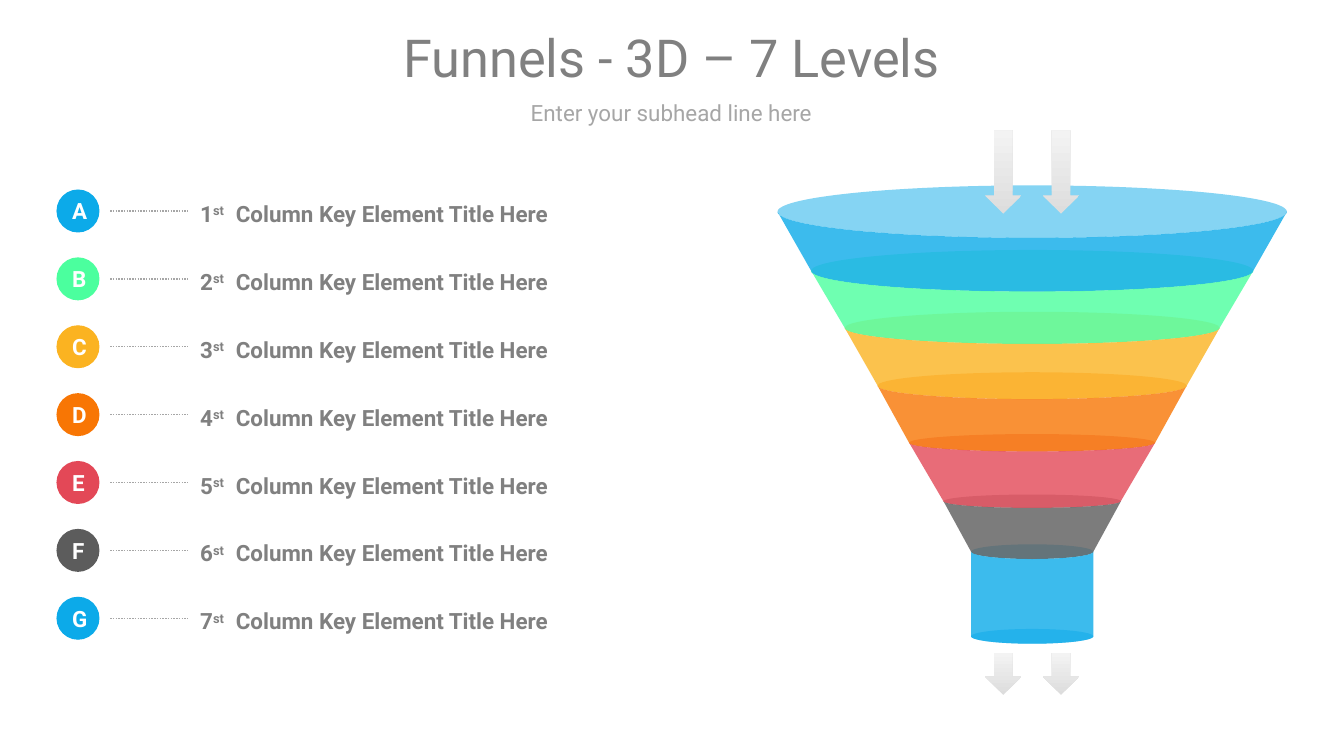
from dataclasses import dataclass
from math import cos, pi, sin

from lxml.etree import SubElement
from pptx import Presentation
from pptx.dml.color import RGBColor
from pptx.enum.dml import MSO_LINE
from pptx.enum.shapes import MSO_CONNECTOR, MSO_SHAPE as SHAPE
from pptx.enum.text import MSO_ANCHOR as ANCHOR, MSO_AUTO_SIZE as AUTO_SIZE, PP_ALIGN as ALIGN
from pptx.oxml.ns import qn
from pptx.util import Pt

PX = 4572


@dataclass(frozen=True)
class Theme:
    font: str = "Roboto"
    text: str = "808080"
    muted: str = "A6A6A6"
    white: str = "FFFFFF"
    arrow_dark: str = "DDDDDD"
    arrow_light: str = "F3F3F3"
    blue: str = "0CAAE9"
    green: str = "4BFF9E"
    yellow: str = "FBB321"
    orange: str = "F87604"
    red: str = "E34857"
    gray: str = "5C5C5C"
    title_size: int = 28
    body_size: int = 12
    ring_alpha: int = 50
    band_alpha: int = 80


THEME = Theme()
SLIDE = (2000, 1125)
TITLE = "Funnels - 3D – 7 Levels"
SUBHEAD = "Enter your subhead line here"
ELEMENT = "Column Key Element Title Here"
LEVELS = [
    ("A", "1", THEME.blue),
    ("B", "2", THEME.green),
    ("C", "3", THEME.yellow),
    ("D", "4", THEME.orange),
    ("E", "5", THEME.red),
    ("F", "6", THEME.gray),
    ("G", "7", THEME.blue),
]
RINGS = [
    (315, 379, 39),
    (403, 329, 31),
    (488, 279, 24),
    (574, 230, 20),
    (659, 183, 13),
    (746, 132, 10),
    (821, 91, 11),
    (947, 91, 11),
]
FUNNEL_X = 1536
ARROW_XS = (1466, 1552)
ARROW_ROWS = [(972, 62), (194, 124)]
FIRST_ROW, ROW_STEP = 314, 101
BADGE_X, BADGE = 84, 64
LEADER = (164, 280)
LABEL_X, LABEL_W, LABEL_H, LABEL_TAB = 298, 714, 48, 53
ARC_STEPS = 48


def emu(*lengths):
    return [round(length * PX) for length in lengths]


def rgb(value):
    return RGBColor.from_string(value)


def style(para, size, color, bold=False, align=ALIGN.LEFT):
    para.alignment = align
    para.font.name = THEME.font
    para.font.size = Pt(size)
    para.font.bold = bold
    para.font.color.rgb = rgb(color)


def set_frame(frame, inset_x=0, inset_y=0, wrap=True):
    frame.word_wrap = wrap
    frame.vertical_anchor = ANCHOR.MIDDLE
    frame.margin_left = frame.margin_right = inset_x * PX
    frame.margin_top = frame.margin_bottom = inset_y * PX


def paint(shape, color, alpha=100):
    shape.shadow.inherit = False
    shape.line.fill.background()
    shape.fill.solid()
    shape.fill.fore_color.rgb = rgb(color)
    if alpha < 100:
        tint = shape._element.spPr.find(qn("a:solidFill")).find(qn("a:srgbClr"))
        SubElement(tint, qn("a:alpha"), val=str(alpha * 1000))


def add_heading(page, text, top, height, size, color, wrap=True):
    box = page.shapes.add_textbox(*emu(84, top, 1830, height))
    set_frame(box.text_frame, wrap=wrap)
    para = box.text_frame.paragraphs[0]
    para.text = text
    style(para, size, color, align=ALIGN.CENTER)


def add_badge(page, letter, color, middle):
    badge = page.shapes.add_shape(SHAPE.OVAL, *emu(BADGE_X, middle - BADGE / 2, BADGE, BADGE))
    paint(badge, color)
    set_frame(badge.text_frame, 14, 8)
    para = badge.text_frame.paragraphs[0]
    para.text = letter
    style(para, THEME.body_size, THEME.white, True, ALIGN.CENTER)


def add_leader(page, middle):
    start, end = LEADER
    leader = page.shapes.add_connector(MSO_CONNECTOR.STRAIGHT, *emu(start, middle, end, middle))
    leader.line.color.rgb = rgb(THEME.muted)
    leader.line.width = Pt(0.75)
    leader.line.dash_style = MSO_LINE.ROUND_DOT
    SubElement(leader._element.spPr, qn("a:effectLst"))


def add_label(page, number, middle):
    box = page.shapes.add_textbox(*emu(LABEL_X, middle - LABEL_H / 2, LABEL_W, LABEL_H))
    set_frame(box.text_frame)
    box.text_frame.auto_size = AUTO_SIZE.SHAPE_TO_FIT_TEXT
    para = box.text_frame.paragraphs[0]
    tabs = SubElement(para._p.get_or_add_pPr(), qn("a:tabLst"))
    SubElement(tabs, qn("a:tab"), pos=str(LABEL_TAB * PX), algn="l")
    para.line_spacing = 1.2
    style(para, THEME.body_size, THEME.text, True)
    for text, baseline in ((number, 0), ("st", 30), (f"\t{ELEMENT}", 0)):
        span = para.add_run()
        span.text = text
        if baseline:
            span._r.get_or_add_rPr().set("baseline", str(baseline * 1000))


def add_ring(page, ring, color):
    middle, half_w, half_h = ring
    oval = page.shapes.add_shape(
        SHAPE.OVAL, *emu(FUNNEL_X - half_w, middle - half_h, 2 * half_w, 2 * half_h)
    )
    paint(oval, color, THEME.ring_alpha)


def front_arc(ring):
    middle, half_w, half_h = ring
    angles = [pi * step / ARC_STEPS for step in range(ARC_STEPS + 1)]
    return [emu(FUNNEL_X + half_w * cos(a), middle + half_h * sin(a)) for a in angles]


def add_band(page, upper, lower, color):
    outline = front_arc(upper) + front_arc(lower)[::-1]
    builder = page.shapes.build_freeform(*outline[0])
    builder.add_line_segments(outline[1:], close=True)
    paint(builder.convert_to_shape(), color, THEME.band_alpha)


def add_arrow(page, left, top, height):
    arrow = page.shapes.add_shape(SHAPE.DOWN_ARROW, *emu(left, top, 54, height))
    arrow.shadow.inherit = False
    arrow.line.fill.background()
    arrow.fill.gradient()
    arrow.fill.gradient_angle = 90
    shades = (THEME.arrow_dark, THEME.arrow_light)
    for position, (stop, shade) in enumerate(zip(arrow.fill.gradient_stops, shades)):
        stop.position = position
        stop.color.rgb = rgb(shade)


def main():
    deck = Presentation()
    deck.slide_width, deck.slide_height = emu(*SLIDE)
    page = deck.slides.add_slide(deck.slide_layouts[6])

    add_heading(page, SUBHEAD, 148, 38, THEME.body_size, THEME.muted, wrap=False)
    add_heading(page, TITLE, 30, 108, THEME.title_size, THEME.text)

    for row, (letter, number, color) in enumerate(LEVELS):
        middle = FIRST_ROW + row * ROW_STEP
        add_badge(page, letter, color, middle)
        add_leader(page, middle)
        add_label(page, number, middle)

    colors = [color for _, _, color in LEVELS]
    for ring, color in zip(RINGS, colors + colors[-1:]):
        add_ring(page, ring, color)
    for top, height in ARROW_ROWS:
        for left in ARROW_XS:
            add_arrow(page, left, top, height)
    for upper, lower, color in zip(RINGS, RINGS[1:], colors):
        add_band(page, upper, lower, color)

    deck.save("out.pptx")


if __name__ == "__main__":
    main()
